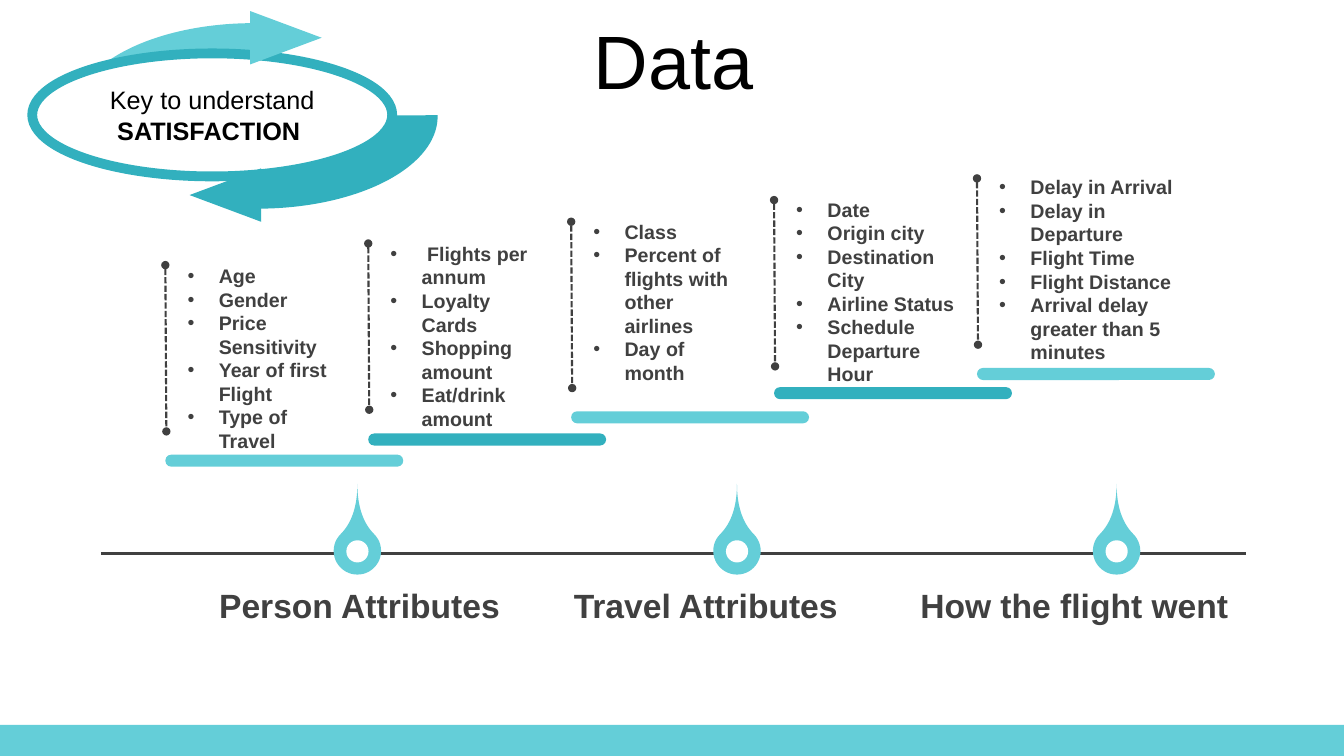
from lxml.etree import SubElement
from pptx import Presentation
from pptx.dml.color import RGBColor
from pptx.enum.dml import MSO_LINE
from pptx.enum.shapes import MSO_CONNECTOR, MSO_SHAPE
from pptx.enum.text import MSO_ANCHOR, MSO_AUTO_SIZE, PP_ALIGN
from pptx.oxml.ns import qn
from pptx.util import Inches, Pt

LIGHT_TEAL = RGBColor(0x64, 0xCE, 0xD8)
DARK_TEAL = RGBColor(0x32, 0xB0, 0xBE)
CHARCOAL = RGBColor(0x40, 0x40, 0x40)
BLACK = RGBColor(0, 0, 0)
WHITE = RGBColor(255, 255, 255)

# Items, text width and bar top of each stair step
STEPS = [
    (["Age", "Gender", "Price Sensitivity", "Year of first Flight", "Type of Travel"], 1.83, 4.51),
    ([" Flights per annum", "Loyalty Cards", "Shopping amount", "Eat/drink amount"], 1.82, 4.3),
    (["Class", "Percent of flights with other airlines", "Day of month"], 1.73, 4.08),
    (["Date", "Origin city", "Destination City", "Airline Status",
      "Schedule Departure Hour"], 1.83, 3.84),
    (["Delay in Arrival", "Delay in Departure", "Flight Time", "Flight Distance",
      "Arrival delay greater than 5 minutes"], 2.1, 3.65),
]
# Text, left and width of each timeline label
MILESTONES = [
    ("Person Attributes", 2.04, 3.05),
    ("Travel Attributes", 5.68, 2.64),
    ("How the flight went", 8.69, 3.93),
]


def add_solid(slide, kind, left, top, width, height, fill, rotation=0, adjustments=()):
    solid = slide.shapes.add_shape(
        kind, Inches(left), Inches(top), Inches(width), Inches(height))
    solid.shadow.inherit = False
    solid.fill.solid()
    solid.fill.fore_color.rgb = fill
    solid.line.fill.background()
    solid.rotation = rotation
    for index, value in enumerate(adjustments):
        solid.adjustments[index] = value
    return solid


def add_rule(slide, start, end, weight):
    rule = slide.shapes.add_connector(
        MSO_CONNECTOR.STRAIGHT, *(Inches(value) for value in (*start, *end)))
    rule.line.color.rgb = CHARCOAL
    rule.line.width = Pt(weight)
    SubElement(rule._element.spPr, qn("a:effectLst"))
    return rule


def add_dotted_stem(slide, start, end):
    """Dashed line with a round dot at either end."""
    stem = add_rule(slide, start, end, 1.5)
    stem.line.dash_style = MSO_LINE.SQUARE_DOT
    outline = stem.line._get_or_add_ln()
    for end_tag in ("a:headEnd", "a:tailEnd"):
        SubElement(outline, qn(end_tag), type="oval")


def write_lines(frame, lines, size, color, bold=False, align=PP_ALIGN.CENTER):
    for index, line in enumerate(lines):
        paragraph = frame.add_paragraph() if index else frame.paragraphs[0]
        paragraph.text = line
        paragraph.alignment = align
        paragraph.font.name = "Arial"
        paragraph.font.size = Pt(size)
        paragraph.font.bold = bold
        paragraph.font.color.rgb = color


def add_text(slide, left, top, width, height, margins=(0.1, 0.05)):
    """Wrapping text frame with (side, top and bottom) margins."""
    frame = slide.shapes.add_textbox(
        Inches(left), Inches(top), Inches(width), Inches(height)).text_frame
    frame.word_wrap = True
    frame.margin_left = frame.margin_right = Inches(margins[0])
    frame.margin_top = frame.margin_bottom = Inches(margins[1])
    return frame


def add_title(slide):
    frame = add_text(slide, 0.35, 0.25, 12.66, 0.79)
    frame.vertical_anchor = MSO_ANCHOR.MIDDLE
    write_lines(frame, ["Data"], 54, BLACK)
    frame.paragraphs[0].line_spacing = 0.9
    frame.paragraphs[0].space_before = Pt(10)


def add_milestone(slide, marker_left, label, label_left, label_width):
    add_solid(slide, MSO_SHAPE.TEAR, marker_left, 5.23, 0.47, 0.47, LIGHT_TEAL, 315, [2])
    frame = add_text(slide, label_left, 5.8, label_width, 0.4, (0, 0))
    frame.auto_size = MSO_AUTO_SIZE.SHAPE_TO_FIT_TEXT
    write_lines(frame, [label], 24, CHARCOAL, bold=True)
    add_solid(slide, MSO_SHAPE.OVAL, marker_left + 0.125, 5.36, 0.22, 0.22, WHITE)


def add_bullets(slide, left, top, width, items):
    frame = add_text(slide, left, top, width, 1.99, (0.12, 0.05))
    frame.auto_size = MSO_AUTO_SIZE.SHAPE_TO_FIT_TEXT
    write_lines(frame, items, 14, CHARCOAL, bold=True, align=PP_ALIGN.LEFT)
    for paragraph in frame.paragraphs:
        properties = paragraph._p.get_or_add_pPr()
        properties.set("marL", str(Inches(0.31)))
        properties.set("indent", str(Inches(-0.31)))
        SubElement(properties, qn("a:buFont"), typeface="Arial")
        SubElement(properties, qn("a:buChar"), char="•")


def add_stairs(slide):
    for index, (items, text_width, bar_top) in enumerate(STEPS):
        left = 1.64 + 2.0125 * index
        rise = 0.215 * index
        bar_color = DARK_TEAL if index % 2 else LIGHT_TEAL
        add_solid(slide, MSO_SHAPE.ROUNDED_RECTANGLE, left, bar_top, 2.36, 0.12,
                  bar_color, adjustments=[0.5])
        add_bullets(slide, left + 0.1, 2.57 - 0.22 * index, text_width, items)
        add_dotted_stem(slide, (left, 2.63 - rise), (left + 0.01, 4.28 - rise))


def add_satisfaction_cycle(slide):
    """Oval caption circled by two curved arrows."""
    quarter = [107.755, 162]
    add_solid(slide, MSO_SHAPE.PIE, 0.73, 0.23, 3.57, 1.83, LIGHT_TEAL, 0, quarter)
    add_solid(slide, MSO_SHAPE.PIE, 0.77, 0.24, 3.57, 1.83, DARK_TEAL, 180, quarter)
    oval = add_solid(slide, MSO_SHAPE.OVAL, 0.32, 0.53, 3.57, 1.22, WHITE)
    oval.line.color.rgb = DARK_TEAL
    oval.line.width = Pt(7)
    caption = oval.text_frame
    caption.vertical_anchor = MSO_ANCHOR.MIDDLE
    write_lines(caption, ["Key to understand", "SATISFACTION "], 18, BLACK)
    caption.paragraphs[1].font.bold = True
    add_solid(slide, MSO_SHAPE.ISOSCELES_TRIANGLE, 2.57, 0.02, 0.53, 0.71, LIGHT_TEAL, 90)
    add_solid(slide, MSO_SHAPE.ISOSCELES_TRIANGLE, 1.97, 1.58, 0.53, 0.71, DARK_TEAL, 270)


def main():
    deck = Presentation()
    deck.slide_width, deck.slide_height = Inches(13.33), Inches(7.5)
    slide = deck.slides.add_slide(deck.slide_layouts[6])
    add_solid(slide, MSO_SHAPE.RECTANGLE, 0, 7.19, 13.33, 0.31, LIGHT_TEAL)
    add_title(slide)
    add_rule(slide, (1, 5.49), (12.36, 5.49), 1.75)
    for index, milestone in enumerate(MILESTONES):
        add_milestone(slide, 3.31 + 3.765 * index, *milestone)
    add_stairs(slide)
    add_satisfaction_cycle(slide)
    deck.save("out.pptx")


if __name__ == "__main__":
    main()
